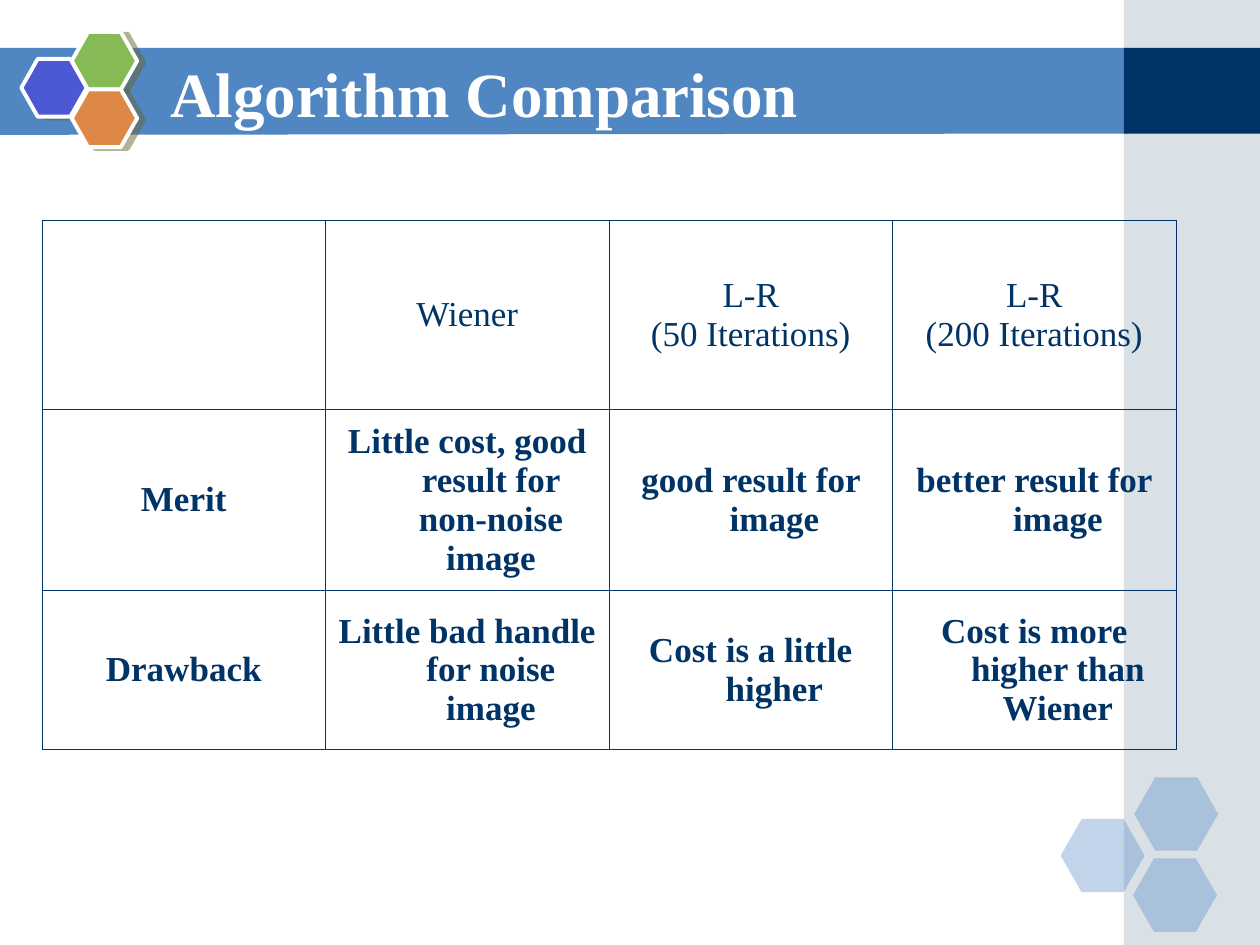
"""Build the Algorithm Comparison slide with its hexagon theme and table."""
from lxml.etree import SubElement
from pptx import Presentation
from pptx.dml.color import RGBColor
from pptx.enum.shapes import MSO_SHAPE as Shape
from pptx.enum.text import MSO_ANCHOR as Anchor, MSO_AUTO_SIZE as AutoSize, PP_ALIGN as Align
from pptx.oxml.ns import qn
from pptx.util import Pt

FONT = "Times New Roman"
WHITE = RGBColor(0xFF, 0xFF, 0xFF)
NAVY = RGBColor(0x00, 0x33, 0x66)
BLUE = RGBColor(0x50, 0x86, 0xC2)
GREY = RGBColor(0xA0, 0xB5, 0xC4)
VIOLET = RGBColor(0x4C, 0x59, 0xD2)
GREEN = RGBColor(0x85, 0xBA, 0x54)
ORANGE = RGBColor(0xDE, 0x88, 0x48)
OLIVE = RGBColor(0x66, 0x66, 0x33)


def paint(shape, color, opacity=100):
    """Give a shape a flat fill with no line or shadow."""
    shape.shadow.inherit = False
    shape.fill.solid()
    shape.fill.fore_color.rgb = color
    shape.line.fill.background()
    if opacity < 100:
        fill_color = shape.element.spPr.find(qn("a:solidFill"))[0]
        SubElement(fill_color, qn("a:alpha"), val=str(opacity * 1000))


def write(paragraph, text, **font_format):
    """Add a run with the given font values."""
    run = paragraph.add_run()
    run.text = text
    run.font.color.rgb = font_format.pop("color")
    for name, value in font_format.items():
        setattr(run.font, name, value)


presentation = Presentation()
presentation.slide_width, presentation.slide_height = Pt(720), Pt(540)
slide = presentation.slides.add_slide(presentation.slide_layouts[5])
shapes = slide.shapes

builder = shapes.build_freeform(Pt(-0.72), Pt(27.36))
builder.add_line_segments(
    [(Pt(644.4), Pt(27.36)), (Pt(644.4), Pt(76.32)), (Pt(-0.72), Pt(77.04))], close=True
)
paint(builder.convert_to_shape(), BLUE)

for top, height, color, opacity in [(0, 540, GREY, 40), (27.36, 49, NAVY, 100)]:
    panel = shapes.add_shape(Shape.RECTANGLE, Pt(642.24), Pt(top), Pt(77.76), Pt(height))
    paint(panel, color, opacity)

for left, top in [(606.1, 468), (648.1, 444.2), (647.4, 490.6)]:
    hexagon = shapes.add_shape(Shape.HEXAGON, Pt(left), Pt(top), Pt(48), Pt(41.9))
    hexagon.adjustments[0] = 0.286
    paint(hexagon, BLUE, 35)

for left, top, color in [(12.2, 33.7, VIOLET), (41, 18.3, GREEN), (41, 51.1, ORANGE)]:
    hexagon = shapes.add_shape(Shape.HEXAGON, Pt(left), Pt(top), Pt(37.4), Pt(33))
    hexagon.adjustments[0] = 0.283
    paint(hexagon, color)
    hexagon.line.color.rgb = WHITE
    hexagon.line.width = Pt(2.25)
    effects = hexagon.element.spPr.find(qn("a:effectLst"))
    shadow = SubElement(
        effects, qn("a:outerShdw"), dist=str(Pt(4.1)), dir=str(14 * 60000), rotWithShape="0"
    )
    shadow_color = SubElement(shadow, qn("a:srgbClr"), val=str(OLIVE))
    SubElement(shadow_color, qn("a:alpha"), val="50000")

title = shapes.title
title.left, title.top, title.width, title.height = Pt(90), Pt(30.24), Pt(527.76), Pt(44.64)
hexagon.element.addnext(title.element)
frame = title.text_frame
frame_format = {
    "auto_size": AutoSize.NONE,
    "word_wrap": True,
    "vertical_anchor": Anchor.MIDDLE,
}
for name, value in frame_format.items():
    setattr(frame, name, value)
frame.paragraphs[0].alignment = Align.LEFT
write(frame.paragraphs[0], "Algorithm Comparison", name=FONT, size=Pt(36), bold=True, color=WHITE)

rows = [
    ["", "Wiener", "L-R\n(50 Iterations)", "L-R\n(200 Iterations)"],
    [
        "Merit",
        "Little cost, good result for non-noise image",
        "good result for image",
        "better result for image",
    ],
    [
        "Drawback",
        "Little bad handle for noise image",
        "Cost is a little higher",
        "Cost is more higher than Wiener",
    ],
]
row_heights = [108, 103.5, 90.75]
table = shapes.add_table(
    3, 4, Pt(24), Pt(126), Pt(648), Pt(sum(row_heights))
).table
table.first_row = table.horz_banding = False
for column in table.columns:
    column.width = Pt(162)

for row_index, (texts, height) in enumerate(zip(rows, row_heights)):
    table.rows[row_index].height = Pt(height)
    for column_index, text in enumerate(texts):
        cell = table.cell(row_index, column_index)
        cell.vertical_anchor = Anchor.MIDDLE
        properties = cell._tc.get_or_add_tcPr()
        for side in ["lnL", "lnR", "lnT", "lnB"]:
            border = SubElement(properties, qn(f"a:{side}"), w=str(Pt(0.45)))
            border_fill = SubElement(border, qn("a:solidFill"))
            SubElement(border_fill, qn("a:srgbClr"), val=str(NAVY))
        cell.fill.background()
        if not text:
            continue
        for line_index, line in enumerate(text.split("\n")):
            frame = cell.text_frame
            paragraph = frame.add_paragraph() if line_index else frame.paragraphs[0]
            paragraph.alignment = Align.CENTER
            indents = paragraph._p.get_or_add_pPr()
            indents.set("marL", str(Pt(27)))
            indents.set("indent", str(Pt(-27)))
            write(paragraph, line, name=FONT, size=Pt(20), bold=row_index > 0, color=NAVY)

presentation.save("out.pptx")
